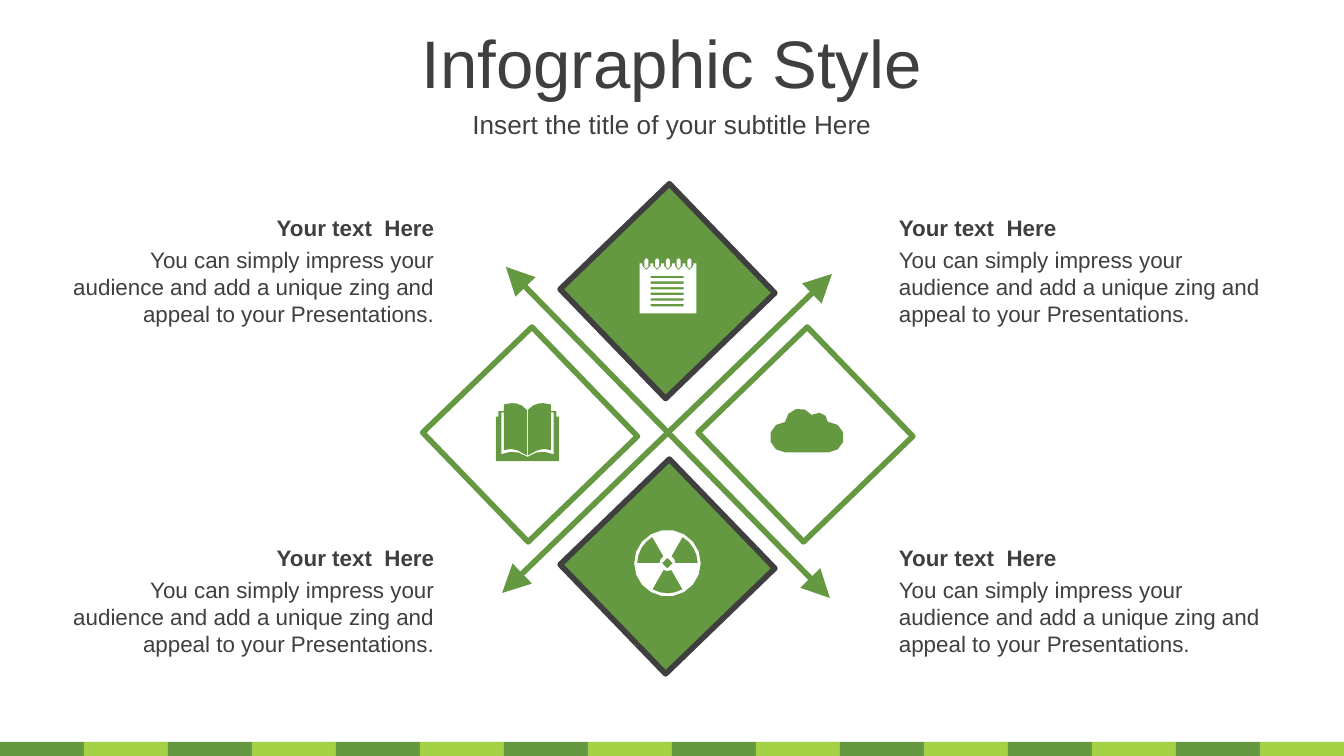
from math import cos, sin, radians
from lxml.etree import SubElement
from pptx import Presentation
from pptx.dml.color import RGBColor
from pptx.enum.shapes import MSO_CONNECTOR as LINK, MSO_SHAPE as KIND
from pptx.enum.text import MSO_ANCHOR as ANCHOR, PP_ALIGN as ALIGN
from pptx.oxml.ns import qn
from pptx.util import Pt

GREEN = RGBColor(0x64, 0x99, 0x41)
LIME = RGBColor(0xA4, 0xD1, 0x44)
DARK = RGBColor(0x3F, 0x3F, 0x3F)
WHITE = RGBColor(0xFF, 0xFF, 0xFF)

deck = Presentation()
deck.slide_width, deck.slide_height = Pt(720), Pt(405)
slide = deck.slides.add_slide(deck.slide_layouts[6])
shapes = slide.shapes


def arc(x, y, r, start, end):
    """Return points along an arc, angles in degrees, more for longer arcs."""
    steps = 2 + int(abs(end - start) * r / 400)
    turns = [radians(start + (end - start) * i / steps) for i in range(steps + 1)]
    return [(x + r * cos(t), y + r * sin(t)) for t in turns]


def write(text, x, y, w, h, size, align, bold=False):
    """Add a text box with one vertically centred paragraph."""
    frame = shapes.add_textbox(Pt(x), Pt(y), Pt(w), Pt(h)).text_frame
    frame.word_wrap = True
    frame.vertical_anchor = ANCHOR.MIDDLE
    para = frame.paragraphs[0]
    para.text = text
    para.alignment = align
    font = para.font
    font.name, font.size, font.bold = "Arial", Pt(size), bold
    font.color.rgb = DARK


# Footer stripe
for i in range(16):
    bar = shapes.add_shape(KIND.RECTANGLE, Pt(45 * i), Pt(397.5), Pt(45), Pt(7.5))
    bar.shadow.inherit = False
    bar.fill.solid()
    bar.fill.fore_color.rgb = LIME if i % 2 else GREEN
    bar.line.fill.background()

# Diamonds
SIDE = 81.4
for x, y, fill, edge in [
    (357.6, 156, GREEN, DARK),
    (431.5, 232.8, WHITE, GREEN),
    (284, 232.8, WHITE, GREEN),
    (357.6, 303.5, GREEN, DARK),
]:
    tile = shapes.add_shape(KIND.RECTANGLE, Pt(x - SIDE / 2), Pt(y - SIDE / 2), Pt(SIDE), Pt(SIDE))
    tile.rotation = 46
    tile.shadow.inherit = False
    tile.fill.solid()
    tile.fill.fore_color.rgb = fill
    tile.line.color.rgb = edge
    tile.line.width = Pt(3)

# Crossed arrows
for ends in [(271, 143, 444.6, 320.4), (445.7, 146.8, 269, 317.7)]:
    arrow = shapes.add_connector(LINK.STRAIGHT, *map(Pt, ends))
    arrow.line.color.rgb = GREEN
    arrow.line.width = Pt(3)
    stroke = arrow._element.spPr.find(qn("a:ln"))
    for tag in ("a:headEnd", "a:tailEnd"):
        SubElement(stroke, qn(tag), type="triangle", w="lg", len="lg")
    SubElement(arrow._element.spPr, qn("a:effectLst"))

# Open book: one half, mirrored about the spine
SPINE = 282.6
page = [(0.3, 219.6), (3, 217.3), (6, 216.2), (8.5, 216), (12.6, 216.7),
        (12.6, 241.2), (9, 240.5), (5.5, 241.2), (0.3, 244)]
cover = [(16.9, 223.2), (15.5, 223.2), (15.5, 220.3), (12.6, 220.3), (12.6, 221),
         (14, 221), (14, 243.4), (9.5, 242.2), (5, 242.4), (0, 244.8), (0, 247), (16.9, 247)]
book = [[(SPINE + side * x, y) for x, y in part] for side in (-1, 1) for part in (page, cover)]

# Cloud
cloud = [arc(420.5, 234.2, 8.1, 90, 270) + arc(428.4, 226.8, 7.9, 185, 326)
         + arc(438.5, 226.1, 5, 235, 360) + arc(444, 234.2, 8.1, 270, 450)]

# Notepad: sheet with notches, rings and ruled lines
rings = [346.3 + 5.76 * i for i in range(5)]
sheet = [(342.7, 141.1)]
for x in rings:
    sheet += [(x - 2.1, 141.1)] + arc(x, 142.6, 2.1, 180, 0) + [(x + 2.1, 141.1)]
sheet += [(373, 141.1), (373, 167.9), (342.7, 167.9)]
pad = [sheet]
pad += [arc(x, 139.4, 1.1, 180, 360) + arc(x, 142.8, 1.1, 0, 180) for x in rings]
for i in range(6):
    y = 147.8 + 3.02 * i
    pad.append([(348.5, y), (366.2, y), (366.2, y + 1.3), (348.5, y + 1.3)])

# Trefoil sign: disc with a hub and three blades cut out
X, Y = 357.6, 301.7
sign = [arc(X, Y, 17.8, 0, 360), arc(X, Y, 2.9, 0, 360)]
for mid in (90, 210, 330):
    sign.append(arc(X, Y, 16.2, mid - 30, mid + 30) + arc(X, Y, 4.2, mid + 30, mid - 30))

for parts, fill in [(book, GREEN), (cloud, GREEN), (pad, WHITE), (sign, WHITE)]:
    pen = None
    for part in parts:
        first, *rest = [(Pt(x), Pt(y)) for x, y in part]
        if pen is None:
            pen = shapes.build_freeform(*first)
        else:
            pen.move_to(*first)
        pen.add_line_segments(rest, close=True)
    icon = pen.convert_to_shape()
    icon.shadow.inherit = False
    icon.fill.solid()
    icon.fill.fore_color.rgb = fill
    icon.line.fill.background()

# Text
write("Infographic Style", 0, 10.1, 720, 45.4, 36, ALIGN.CENTER)
write("Insert the title of your subtitle Here", 0, 55.5, 720, 22.3, 14, ALIGN.CENTER)
for x, align in [(31, ALIGN.RIGHT), (474.5, ALIGN.LEFT)]:
    for y in (111, 287.9):
        write("Your text  Here", x, y, 208.8, 21.6, 12, align, bold=True)
        write("You can simply impress your audience and add a unique zing "
              "and appeal to your Presentations.", x, y + 17, 208.8, 51, 12, align)

deck.save("out.pptx")
